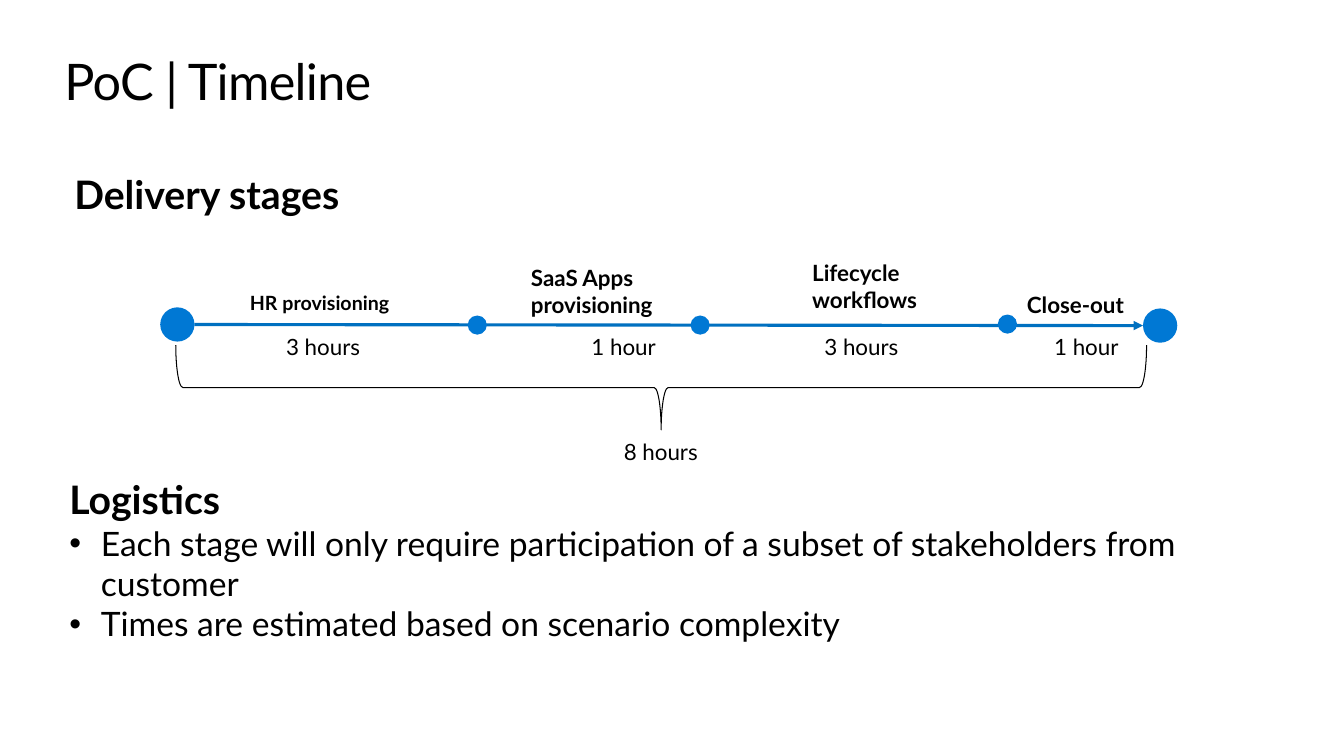
"""Build the PoC timeline slide: delivery stages on an arrow, then logistics."""
from pptx import Presentation
from pptx.dml.color import RGBColor
from pptx.enum import dml, shapes, text
from pptx.oxml import ns
from pptx.util import Pt
from lxml import etree

FONT = "Lato"
BLACK, LINE_BLUE, DOT_BLUE = "000000", "0070C0", "0078D4"
TITLE = "PoC | Timeline"
STAGES_HEADING = "Delivery stages"
LOGISTICS_HEADING = "Logistics"
LOGISTICS = [
    "Each stage will only require participation of a subset of stakeholders from customer",
    "Times are estimated based on scenario complexity",
]
STAGES = [
    {"name": "HR provisioning", "box": (171.4, 204.5, 151, 24.5), "size": 14,
     "hours": "3 hours", "hours_left": 197.3},
    {"name": "SaaS Apps provisioning", "box": (372.2, 185, 125.3, 46), "size": 16,
     "hours": "1 hour", "hours_left": 415.4},
    {"name": "Lifecycle workflows", "box": (573.1, 181.4, 125.3, 46), "size": 16,
     "hours": "3 hours", "hours_left": 581.8},
    {"name": "Close-out", "box": (726.5, 204.5, 94.3, 26.6), "size": 16,
     "hours": "1 hour", "hours_left": 745.9},
]
TOTAL = "8 hours"
TOTAL_LEFT, TOTAL_TOP = 438.5, 309.6
HOURS_TOP, HOURS_WIDTH, HOURS_HEIGHT = 234.7, 67.7, 26.6
END_DOT, STAGE_DOT = 24.5, 13.7
DOTS = [
    (126.7, 231.8, END_DOT),
    (340.9, 232.2, STAGE_DOT),
    (500.1, 232.2, STAGE_DOT),
    (719.6, 231.5, STAGE_DOT),
    (828.7, 232.6, END_DOT),
]
BRACE_CENTER, BRACE_LENGTH, BRACE_DEPTH = (472.3, 276.8), 693.4, 60.5
BULLET_INDENT = 22.5


def color(value):
    return RGBColor.from_string(value)


def points(*values):
    return [Pt(value) for value in values]


def write(paragraph, content, size, bold=False, bullet=False, spacing=None):
    if bullet:
        properties = paragraph._p.get_or_add_pPr()
        properties.set("marL", str(Pt(BULLET_INDENT)))
        properties.set("indent", str(-Pt(BULLET_INDENT)))
        etree.SubElement(properties, ns.qn("a:buFont")).set("typeface", "Arial")
        etree.SubElement(properties, ns.qn("a:buChar")).set("char", "•")
    run = paragraph.add_run()
    run.text = content
    run.font.name, run.font.size, run.font.bold = FONT, Pt(size), bold
    run.font.color.rgb = color(BLACK)
    if spacing is not None:
        run.font._element.set("spc", str(round(spacing * 100)))


def add_text(slide, box, content, **formatting):
    frame = slide.shapes.add_textbox(*points(*box)).text_frame
    frame.word_wrap = True
    write(frame.paragraphs[0], content, **formatting)
    return frame


def add_hours(slide, left, top, content):
    add_text(slide, (left, top, HOURS_WIDTH, HOURS_HEIGHT), content, size=16)


def add_title(slide):
    title = slide.shapes.title
    title.left, title.top, title.width, title.height = points(46, 36, 867.6, 44)
    frame = title.text_frame
    frame.margin_left = frame.margin_right = frame.margin_top = frame.margin_bottom = 0
    frame.vertical_anchor = text.MSO_ANCHOR.TOP
    frame.auto_size = text.MSO_AUTO_SIZE.NONE
    paragraph = frame.paragraphs[0]
    paragraph.alignment = text.PP_ALIGN.LEFT
    paragraph.line_spacing = 1.0
    write(paragraph, TITLE, size=36, spacing=-0.5)


def add_arrow(slide):
    (start_x, start_y, start_size), (end_x, end_y, end_size) = DOTS[0], DOTS[-1]
    arrow = slide.shapes.add_connector(
        shapes.MSO_CONNECTOR.STRAIGHT,
        *points(start_x + start_size / 2, start_y, end_x - end_size / 2, end_y))
    arrow.line.color.rgb = color(LINE_BLUE)
    arrow.line.width = Pt(2.25)
    etree.SubElement(arrow.line._get_or_add_ln(), ns.qn("a:tailEnd")).set("type", "triangle")
    etree.SubElement(arrow._element.spPr, ns.qn("a:effectLst"))


def add_dot(slide, center_x, center_y, size):
    dot = slide.shapes.add_shape(
        shapes.MSO_SHAPE.OVAL,
        *points(center_x - size / 2, center_y - size / 2, size, size))
    dot.shadow.inherit = False
    dot.fill.solid()
    dot.fill.fore_color.rgb = color(DOT_BLUE)
    dot.line.fill.background()


def add_brace(slide):
    center_x, center_y = BRACE_CENTER
    brace = slide.shapes.add_shape(
        shapes.MSO_SHAPE.LEFT_BRACE,
        *points(center_x - BRACE_DEPTH / 2, center_y - BRACE_LENGTH / 2,
                BRACE_DEPTH, BRACE_LENGTH))
    brace.rotation = 270
    brace.shadow.inherit = False
    brace.fill.background()
    brace.line.color.rgb = color(BLACK)
    brace.line.width = Pt(0.75)
    brace.line.dash_style = dml.MSO_LINE.SOLID


def main():
    presentation = Presentation()
    presentation.slide_width, presentation.slide_height = points(960, 540)
    slide = presentation.slides.add_slide(presentation.slide_layouts[5])
    add_title(slide)
    add_text(slide, (46, 118.1, 532.8, 41), STAGES_HEADING, size=28, bold=True)
    add_arrow(slide)
    for dot in DOTS:
        add_dot(slide, *dot)
    for stage in STAGES:
        add_text(slide, stage["box"], stage["name"], size=stage["size"], bold=True)
        add_hours(slide, stage["hours_left"], HOURS_TOP, stage["hours"])
    add_brace(slide)
    add_hours(slide, TOTAL_LEFT, TOTAL_TOP, TOTAL)
    logistics = add_text(slide, (42.5, 336.2, 885.6, 157.7), LOGISTICS_HEADING,
                         size=28, bold=True)
    for item in LOGISTICS:
        write(logistics.add_paragraph(), item, size=24, bullet=True)
    presentation.save("out.pptx")


if __name__ == "__main__":
    main()
